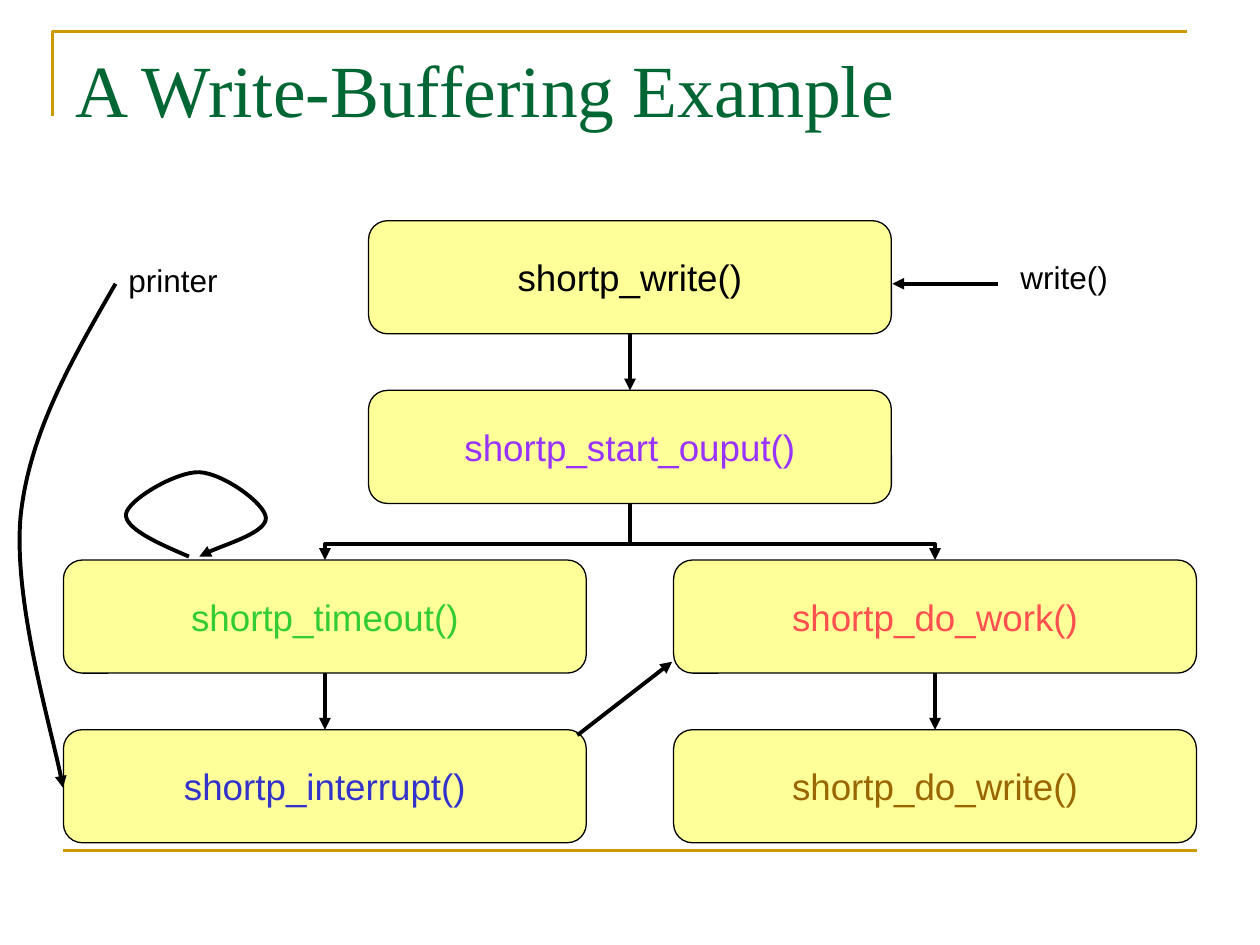
from dataclasses import dataclass

from lxml import etree
from pptx import Presentation
from pptx.dml.color import RGBColor
from pptx.enum import shapes, text
from pptx.oxml import ns
from pptx.util import Cm, Pt


@dataclass(frozen=True)
class Theme:
    ink: str = "000000"
    box: str = "FFFF99"
    rule: str = "CC9900"
    title: str = "006633"
    title_font: str = "Times New Roman"
    body_font: str = "Arial"
    title_size: float = 42
    box_size: float = 21
    label_size: float = 18
    arrow_width: float = 2.25
    rule_width: float = 1.5
    box_width: float = 0.75


THEME = Theme()

# Flowchart grid, in centimetres
BOX_W, BOX_H = 10.54, 2.28
TOP, PITCH = 4.45, 3.42
LEFT, CENTRE, RIGHT = 6.55, 12.7, 18.85

# Name: (column centre, row, text colour)
BOXES = {
    "shortp_write()": (CENTRE, 0, THEME.ink),
    "shortp_start_ouput()": (CENTRE, 1, "9933FF"),
    "shortp_timeout()": (LEFT, 2, "33CC33"),
    "shortp_do_work()": (RIGHT, 2, "FF5050"),
    "shortp_interrupt()": (LEFT, 3, "3333CC"),
    "shortp_do_write()": (RIGHT, 3, "996600"),
}


def row_top(row):
    return TOP + row * PITCH


def write_text(shape, content, size, color, font=THEME.body_font, align=text.PP_ALIGN.LEFT, **frame_format):
    frame = shape.text_frame
    frame.text = content
    for name, value in frame_format.items():
        setattr(frame, name, value)
    paragraph = frame.paragraphs[0]
    paragraph.alignment = align
    for name, value in {"size": Pt(size), "name": font}.items():
        setattr(paragraph.font, name, value)
    paragraph.font.color.rgb = RGBColor.from_string(color)


def style_line(shape, color, width, arrow=False):
    shape.line.color.rgb = RGBColor.from_string(color)
    shape.line.width = Pt(width)
    if arrow:
        line = shape.line._get_or_add_ln()
        etree.SubElement(line, ns.qn("a:tailEnd"), type="triangle")


def add_title(slide, content):
    title = slide.shapes.title
    for name, value in {"left": 1.27, "top": 0.76, "width": 22.86, "height": 3.18}.items():
        setattr(title, name, Cm(value))
    write_text(title, content, THEME.title_size, THEME.title, THEME.title_font,
               vertical_anchor=text.MSO_ANCHOR.TOP, auto_size=text.MSO_AUTO_SIZE.NONE)


def add_box(slide, content, centre, row, color):
    shape = slide.shapes.add_shape(shapes.MSO_SHAPE.ROUNDED_RECTANGLE, Cm(centre - BOX_W / 2),
                                   Cm(row_top(row)), Cm(BOX_W), Cm(BOX_H))
    shape.shadow.inherit = False
    shape.fill.solid()
    shape.fill.fore_color.rgb = RGBColor.from_string(THEME.box)
    style_line(shape, THEME.ink, THEME.box_width)
    margins = {f"margin_{side}": 0 for side in ("left", "top", "right", "bottom")}
    write_text(shape, content, THEME.box_size, color, align=text.PP_ALIGN.CENTER,
               vertical_anchor=text.MSO_ANCHOR.MIDDLE, word_wrap=False, **margins)


def add_label(slide, content, left, top):
    label = slide.shapes.add_textbox(Cm(left), Cm(top), Cm(2.3), Cm(1.02))
    write_text(label, content, THEME.label_size, THEME.ink, word_wrap=False)


def add_line(slide, start, end, color=THEME.ink, width=THEME.arrow_width, arrow=True,
             kind=shapes.MSO_CONNECTOR.STRAIGHT):
    line = slide.shapes.add_connector(kind, *(Cm(value) for value in (*start, *end)))
    style_line(line, color, width, arrow)
    etree.SubElement(line.element.spPr, ns.qn("a:effectLst"))
    return line


def add_branch(slide, start, end):
    """Elbow arrow that leaves downwards: a turned horizontal elbow."""
    middle_x, middle_y = ((a + b) / 2 for a, b in zip(start, end))
    half_span, half_drop = abs(end[0] - start[0]) / 2, (end[1] - start[1]) / 2
    to_right = end[0] > start[0]
    reach = half_drop if to_right else -half_drop
    elbow = add_line(slide, (middle_x + reach, middle_y - half_span),
                     (middle_x - reach, middle_y + half_span), kind=shapes.MSO_CONNECTOR.ELBOW)
    properties = elbow.element.spPr
    properties.find(ns.qn("a:xfrm")).set("rot", str((270 if to_right else 90) * 60000))
    adjustments = properties.find(ns.qn("a:prstGeom")).get_or_add_avLst()
    etree.SubElement(adjustments, ns.qn("a:gd"), name="adj1", fmla="val 72300")


def add_outline(slide, points, color, width, arrow=False, curved=False):
    """Open outline; if curved, each three points after the first form one Bézier segment."""
    start, *rest = [(Cm(x), Cm(y)) for x, y in points]
    builder = slide.shapes.build_freeform(*start)
    builder.add_line_segments(rest, close=False)
    shape = builder.convert_to_shape()
    shape.shadow.inherit = False
    shape.fill.background()
    style_line(shape, color, width, arrow)
    if curved:
        outline = next(shape.element.iter(ns.qn("a:path")))
        segments = outline.findall(ns.qn("a:lnTo"))
        for index in range(0, len(segments), 3):
            curve = etree.SubElement(outline, ns.qn("a:cubicBezTo"))
            for segment in segments[index:index + 3]:
                curve.append(segment[0])
                outline.remove(segment)


def main():
    presentation = Presentation()
    presentation.slide_width, presentation.slide_height = Cm(25.4), Cm(19.05)
    slide = presentation.slides.add_slide(presentation.slide_layouts[5])

    # Title and frame rules
    add_outline(slide, [(1.06, 2.33), (1.06, 0.64), (23.92, 0.64)], THEME.rule, THEME.rule_width)
    add_line(slide, (1.27, 17.15), (24.13, 17.15), THEME.rule, THEME.rule_width, arrow=False)
    add_title(slide, "A Write-Buffering Example")

    # Arrows between rows
    for centre, row in ((CENTRE, 0), (LEFT, 2), (RIGHT, 2)):
        add_line(slide, (centre, row_top(row) + BOX_H), (centre, row_top(row + 1)))
    for centre in (LEFT, RIGHT):
        add_branch(slide, (CENTRE, row_top(1) + BOX_H), (centre, row_top(2)))

    # Function boxes
    for name, (centre, row, color) in BOXES.items():
        add_box(slide, name, centre, row, color)

    # Callers and their arrows
    add_label(slide, "printer", 2.34, 5.13)
    add_label(slide, "write()", 20.32, 5.08)
    add_line(slide, (20.11, 5.72), (17.99, 5.72))
    add_line(slide, (11.64, 14.82), (13.55, 13.34))

    # Timer loop and printer interrupt
    timer_loop = [(3.81, 11.22), (3.15, 10.94), (2.52, 10.65), (2.54, 10.37), (2.57, 10.08),
                  (3.56, 9.5), (4.02, 9.52), (4.49, 9.54), (5.35, 10.15), (5.36, 10.44),
                  (5.37, 10.73), (4.3, 11.05), (4.02, 11.22)]
    interrupt = [(2.33, 5.72), (1.48, 7.2), (0.61, 8.68), (0.42, 10.37),
                 (0.25, 12.06), (1.12, 14.96), (1.27, 15.88)]
    for points in (timer_loop, interrupt):
        add_outline(slide, points, THEME.ink, THEME.arrow_width, arrow=True, curved=True)

    presentation.save("out.pptx")


if __name__ == "__main__":
    main()
